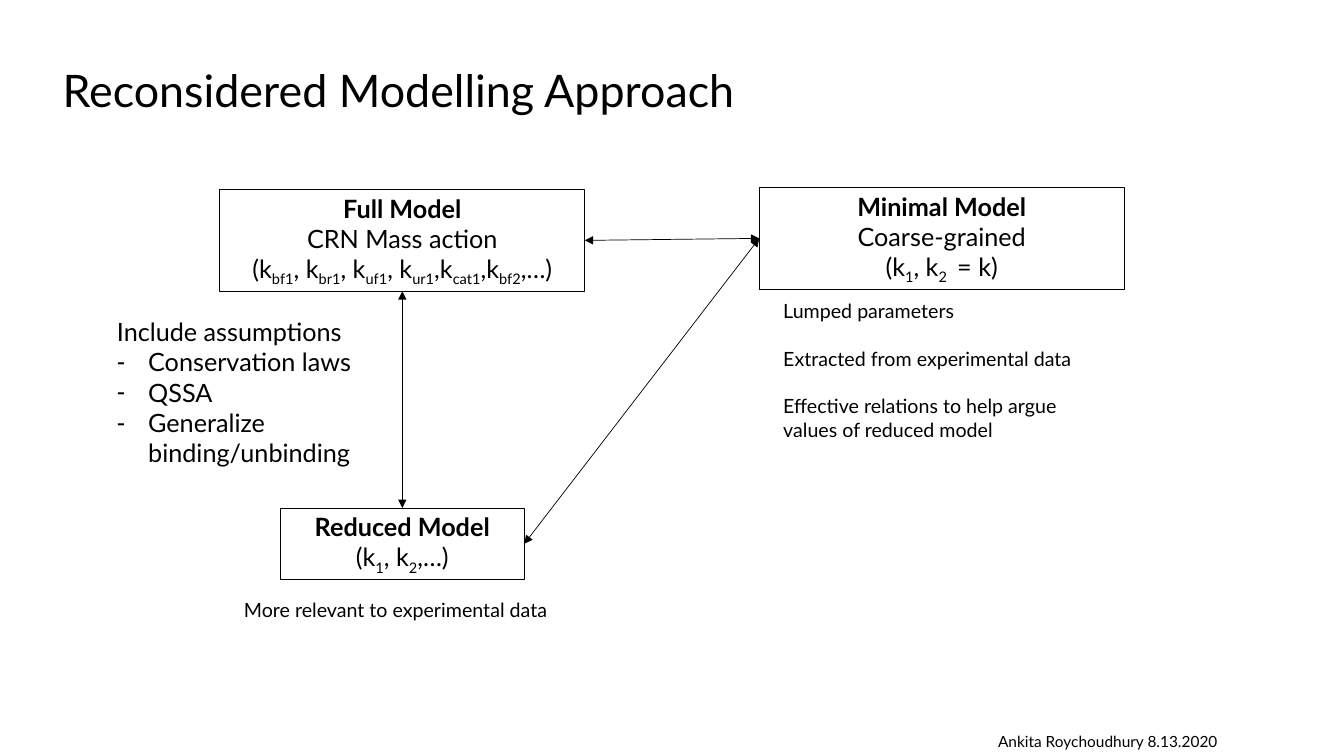
"""Build the slide on the reconsidered modelling approach."""
import dataclasses

import pptx
import pptx.dml.color
import pptx.enum.shapes
import pptx.enum.text
import pptx.oxml.ns
import pptx.util
from lxml import etree

Inches = pptx.util.Inches
Pt = pptx.util.Pt
ALIGN = pptx.enum.text.PP_ALIGN
ANCHOR = pptx.enum.text.MSO_ANCHOR
TOP, LEFT, BASE, RIGHT = range(4)


@dataclasses.dataclass(frozen=True)
class Theme:
    """Colours, font and sizes of the slide."""
    font: str = "Lato"
    ink: pptx.dml.color.RGBColor = pptx.dml.color.RGBColor(0, 0, 0)
    title: int = 32
    body: int = 18
    note: int = 14
    credit: int = 11
    border: float = 0.75
    arrow: float = 0.5


THEME = Theme()


def add_tag(parent, name, **attrs):
    """Append a drawing element to its parent."""
    return etree.SubElement(parent, pptx.oxml.ns.qn(name), attrs)


def place(shape, left, top, width, height):
    """Move and size a shape in inches."""
    shape.left, shape.top = Inches(left), Inches(top)
    shape.width, shape.height = Inches(width), Inches(height)


def add_run(para, text, size, bold=False, sub=False):
    """Add one styled run to a paragraph."""
    run = para.add_run()
    run.text = text
    font = run.font
    font.name, font.size, font.bold = THEME.font, Pt(size), bold
    font.color.rgb = THEME.ink
    if sub:
        font._element.set("baseline", "-25000")


def write(frame, lines, size, align=ALIGN.LEFT, gap=0, head=False):
    """Write lines, with every second part between bars as a subscript."""
    frame.word_wrap = True
    frame.auto_size = pptx.enum.text.MSO_AUTO_SIZE.NONE
    for row, line in enumerate(lines):
        para = frame.add_paragraph() if row else frame.paragraphs[0]
        para.alignment = align
        para.space_before = Pt(gap if row else 0)
        for part, text in enumerate(line.split("|")):
            add_run(para, text, size, head and row == 0, part % 2 == 1)


def add_title(slide, text):
    """Fill the title placeholder."""
    title = slide.shapes.title
    place(title, 0.52, 0.2, 11.5, 1.45)
    write(title.text_frame, [text], THEME.title)
    title.text_frame.vertical_anchor = ANCHOR.MIDDLE
    title.text_frame.paragraphs[0].line_spacing = 0.9


def add_list(slide, lines):
    """Fill the body placeholder with a lead line and dashed items."""
    body = slide.placeholders[1]
    place(body, 1.06, 3.09, 2.93, 1.62)
    write(body.text_frame, lines, THEME.body)
    body.text_frame.vertical_anchor = ANCHOR.TOP
    for row, para in enumerate(body.text_frame.paragraphs):
        props = para._p.get_or_add_pPr()
        dent = Inches(0.31) if row else 0
        props.set("marL", str(dent))
        props.set("indent", str(-dent))
        if row:
            add_tag(props, "a:buFontTx")
            add_tag(props, "a:buChar", char="-")
        else:
            add_tag(props, "a:buNone")


def add_model(slide, spot, lines):
    """Draw an outlined model box with a bold first line."""
    box = slide.shapes.add_shape(
        pptx.enum.shapes.MSO_SHAPE.RECTANGLE, *map(Inches, spot))
    box.shadow.inherit = False
    box.fill.background()
    box.line.color.rgb = THEME.ink
    box.line.width = Pt(THEME.border)
    write(box.text_frame, lines, THEME.body, ALIGN.CENTER, head=True)
    return box


def add_note(slide, spot, lines, size, gap=0):
    """Place a plain text box."""
    note = slide.shapes.add_textbox(*map(Inches, spot))
    write(note.text_frame, lines, size, gap=gap)
    return note


def add_link(slide, start, exit_side, end, entry_side):
    """Join two boxes with a double-headed arrow."""
    link = slide.shapes.add_connector(
        pptx.enum.shapes.MSO_CONNECTOR.STRAIGHT, 0, 0, 0, 0)
    link.begin_connect(start, exit_side)
    link.end_connect(end, entry_side)
    link.line.color.rgb = THEME.ink
    link.line.width = Pt(THEME.arrow)
    line = link.line._get_or_add_ln()
    for name in ("a:headEnd", "a:tailEnd"):
        add_tag(line, name, type="triangle")
    add_tag(link._element.spPr, "a:effectLst")


def main():
    """Build and save the slide."""
    deck = pptx.Presentation()
    deck.slide_width, deck.slide_height = Inches(13.33), Inches(7.5)
    slide = deck.slides.add_slide(deck.slide_layouts[1])
    add_title(slide, "Reconsidered Modelling Approach")
    add_list(slide, ["Include assumptions", "Conservation laws", "QSSA",
                     "Generalize binding/unbinding"])
    full = add_model(slide, (2.18, 1.88, 3.62, 1.01), [
        "Full Model", "CRN Mass action",
        "(k|bf1|, k|br1|, k|uf1|, k|ur1|,k|cat1|,k|bf2|,…)"])
    small = add_model(slide, (2.78, 5.04, 2.42, 0.71), [
        "Reduced Model", "(k|1|, k|2|,…)"])
    least = add_model(slide, (7.53, 1.86, 3.62, 1.01), [
        "Minimal Model", "Coarse-grained", "(k|1|, k|2 | = k)"])
    add_link(slide, full, BASE, small, TOP)
    add_link(slide, least, LEFT, small, RIGHT)
    add_link(slide, least, LEFT, full, RIGHT)
    add_note(slide, (2.32, 5.88, 3.34, 0.34),
             ["More relevant to experimental data"], THEME.note)
    add_note(slide, (7.67, 2.92, 3.34, 1.51), [
        "Lumped parameters", "Extracted from experimental data",
        "Effective relations to help argue values of reduced model"],
        THEME.note, gap=17)
    credit = add_note(slide, (9.8, 7.21, 2.39, 0.29),
                      ["Ankita Roychoudhury 8.13.2020"], THEME.credit)
    credit.text_frame.word_wrap = False
    deck.save("out.pptx")


if __name__ == "__main__":
    main()
